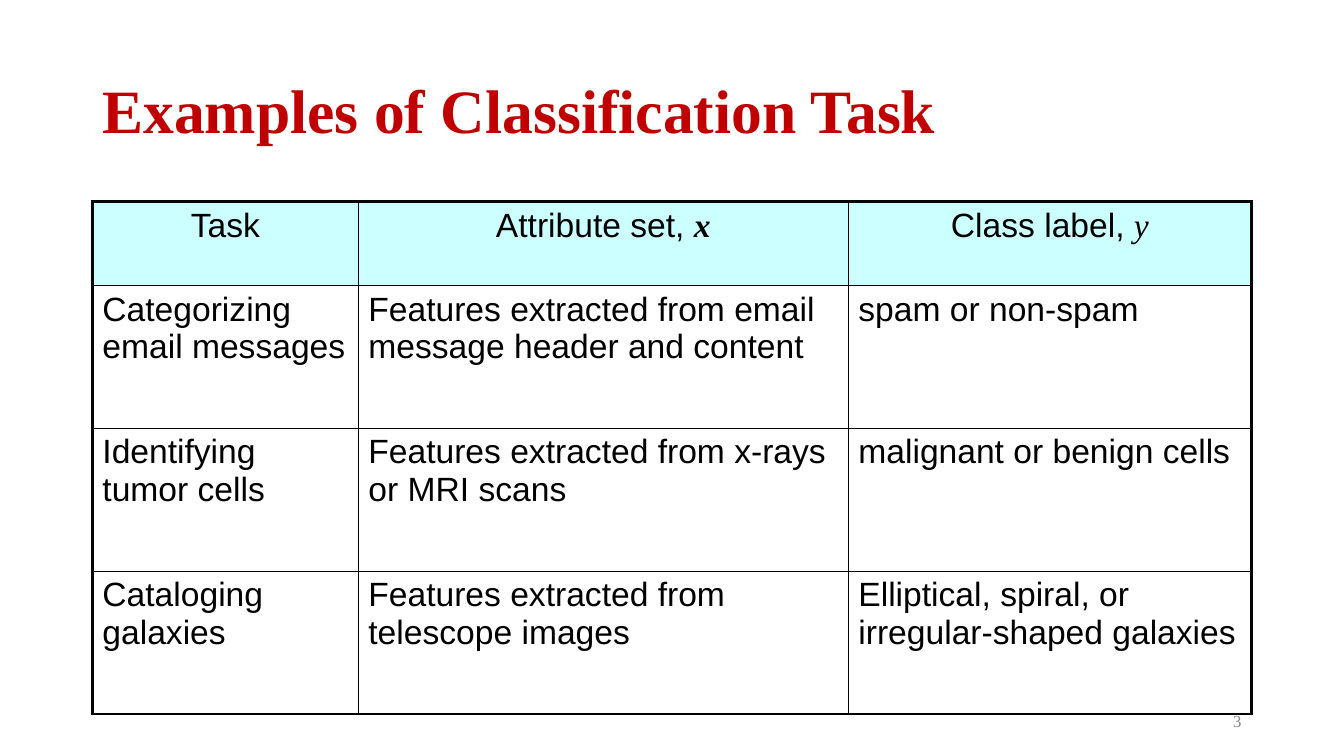
"""Build a slide with a table of classification task examples."""
from dataclasses import dataclass

from lxml.etree import SubElement
from pptx import Presentation
from pptx.dml.color import RGBColor
from pptx.enum.text import MSO_ANCHOR, PP_ALIGN
from pptx.oxml.ns import qn
from pptx.util import Pt

TITLE = "Examples of Classification Task"
PAGE_NUMBER = "3"
HEADINGS = [("Task", ""), ("Attribute set, ", "x"), ("Class label, ", "y")]
BOLD_SYMBOL = "x"
EXAMPLES = [
    ("Categorizing email messages",
     "Features extracted from email message header and content",
     "spam or non-spam"),
    ("Identifying tumor cells",
     "Features extracted from x-rays or MRI scans",
     "malignant or benign cells"),
    ("Cataloging galaxies",
     "Features extracted from telescope images",
     "Elliptical, spiral, or irregular-shaped galaxies"),
]
COLUMN_WIDTHS = [190, 350, 288]
ROW_HEIGHTS = [60] + [102] * len(EXAMPLES)


@dataclass(frozen=True)
class Theme:
    serif: str = "Times New Roman"
    sans: str = "Arial"
    title_color: str = "C00000"
    text_color: str = "000000"
    muted_color: str = "888888"
    heading_fill: str = "CCFFFF"
    title_size: int = 44
    table_size: int = 24
    number_size: int = 12
    outer_line: float = 2.25
    inner_line: float = 1


THEME = Theme()


def add_span(para, text, font=THEME.sans, size=THEME.table_size,
             color=THEME.text_color, bold=False, italic=False):
    span = para.add_run()
    span.text = text
    span.font.name = font
    span.font.size = Pt(size)
    span.font.color.rgb = RGBColor.from_string(color)
    span.font.bold = bold
    span.font.italic = italic


def add_text_box(page, left, top, width, height, text, align=PP_ALIGN.LEFT,
                 line_spacing=1.0, **style):
    box = page.shapes.add_textbox(Pt(left), Pt(top), Pt(width), Pt(height))
    frame = box.text_frame
    frame.word_wrap = True
    frame.vertical_anchor = MSO_ANCHOR.MIDDLE
    para = frame.paragraphs[0]
    para.alignment = align
    para.line_spacing = line_spacing
    add_span(para, text, **style)


def set_borders(cell, row, column):
    properties = cell._tc.get_or_add_tcPr()
    outer_sides = {
        "a:lnL": column == 0,
        "a:lnR": column == len(COLUMN_WIDTHS) - 1,
        "a:lnT": row == 0,
        "a:lnB": row == len(ROW_HEIGHTS) - 1,
    }
    for side, is_outer in outer_sides.items():
        width = THEME.outer_line if is_outer else THEME.inner_line
        line = SubElement(properties, qn(side), w=str(int(Pt(width))))
        fill = SubElement(line, qn("a:solidFill"))
        SubElement(fill, qn("a:srgbClr"), val=THEME.text_color)


def fill_heading(cell, label, symbol):
    cell.fill.solid()
    cell.fill.fore_color.rgb = RGBColor.from_string(THEME.heading_fill)
    para = cell.text_frame.paragraphs[0]
    para.alignment = PP_ALIGN.CENTER
    add_span(para, label)
    if symbol:
        add_span(para, symbol, font=THEME.serif, italic=True,
                 bold=symbol == BOLD_SYMBOL)


def add_task_table(page):
    table = page.shapes.add_table(
        len(ROW_HEIGHTS), len(COLUMN_WIDTHS), Pt(66), Pt(144),
        Pt(sum(COLUMN_WIDTHS)), Pt(sum(ROW_HEIGHTS))).table
    table.first_row = False
    table.horz_banding = False
    for column, width in zip(table.columns, COLUMN_WIDTHS):
        column.width = Pt(width)
    for row, height in zip(table.rows, ROW_HEIGHTS):
        row.height = Pt(height)
    for row, entries in enumerate([HEADINGS] + EXAMPLES):
        for column, entry in enumerate(entries):
            cell = table.cell(row, column)
            set_borders(cell, row, column)
            if row == 0:
                fill_heading(cell, *entry)
            else:
                cell.fill.background()
                add_span(cell.text_frame.paragraphs[0], entry)


def main():
    deck = Presentation()
    deck.slide_width, deck.slide_height = Pt(960), Pt(540)
    page = deck.slides.add_slide(deck.slide_layouts[6])
    add_text_box(page, 66, 28.75, 828, 104.4, TITLE, line_spacing=0.9,
                 font=THEME.serif, size=THEME.title_size,
                 color=THEME.title_color, bold=True)
    add_task_table(page)
    add_text_box(page, 678, 500.5, 216, 28.75, PAGE_NUMBER,
                 align=PP_ALIGN.RIGHT, font=THEME.serif,
                 size=THEME.number_size, color=THEME.muted_color)
    deck.save("out.pptx")


if __name__ == "__main__":
    main()
